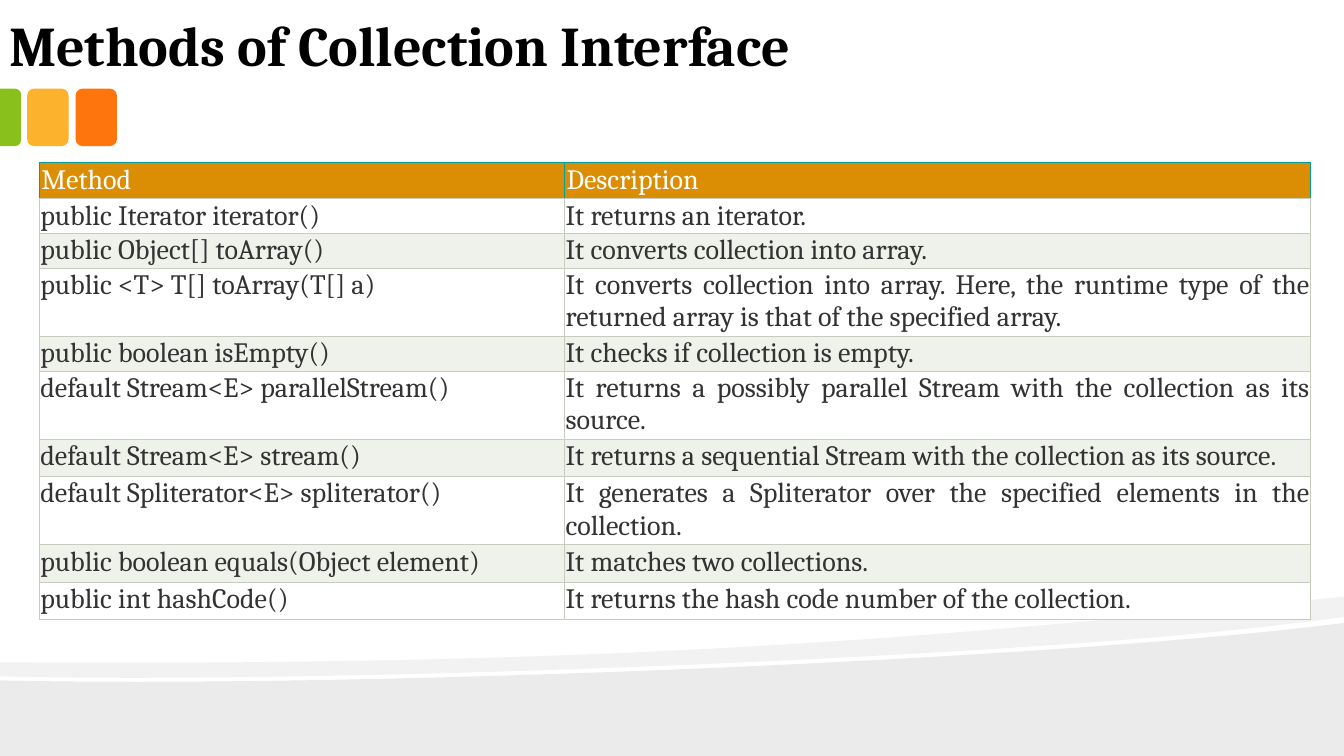
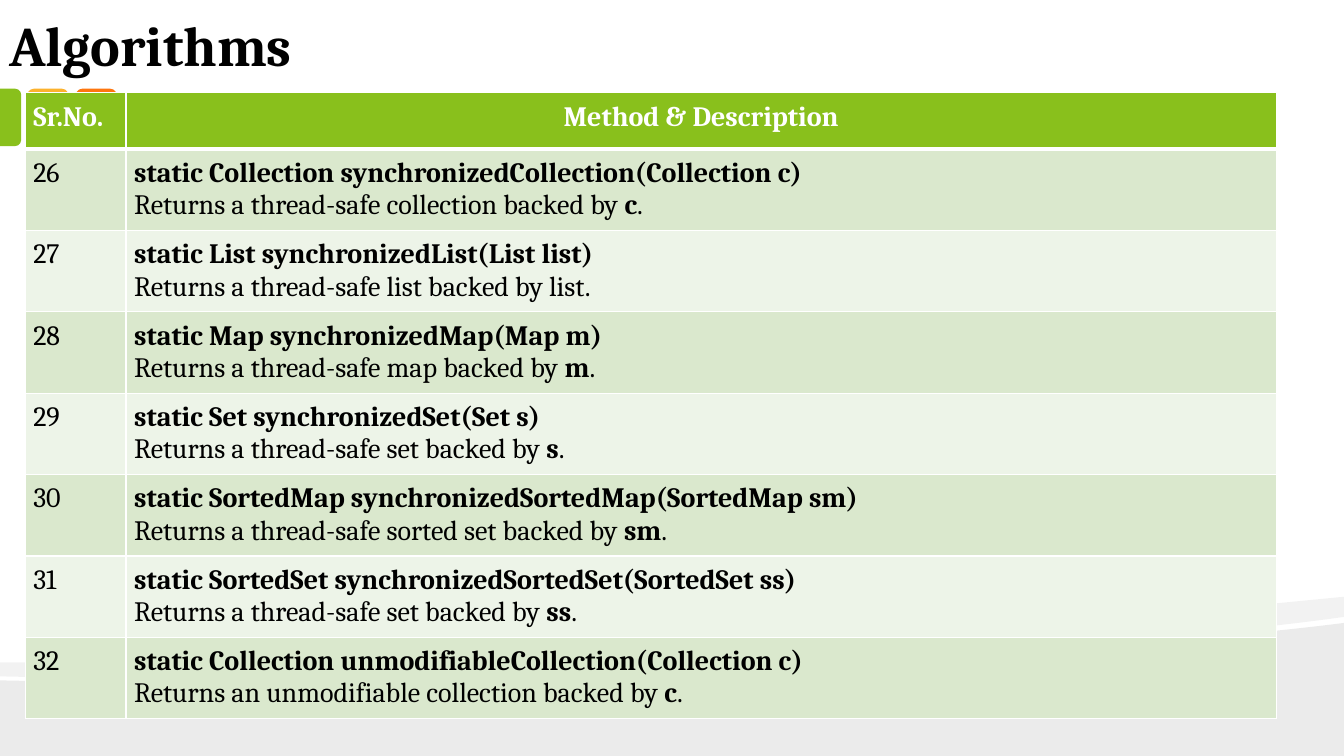
from dataclasses import dataclass
from typing import NamedTuple

from lxml.etree import SubElement
from pptx import Presentation
from pptx.dml.color import RGBColor
from pptx.enum.shapes import MSO_SHAPE
from pptx.enum.text import MSO_ANCHOR, PP_ALIGN
from pptx.oxml.ns import qn
from pptx.util import Emu, Pt

PX = 9144  # EMU in one px, 100 px to the inch
SLIDE_W, SLIDE_H = 1333, 750

Point = tuple[int, int]
Cell = tuple[str, ...]  # lines; *stars* mark bold


@dataclass(frozen=True)
class Theme:
    font: str = "Cambria"
    title_size: int = 40
    body_size: int = 20
    black: str = "000000"
    white: str = "FFFFFF"
    text: str = "333333"
    green: str = "89C01C"
    yellow: str = "FCB22C"
    orange: str = "FE750E"
    amber: str = "DB8E03"
    teal: str = "009F99"
    rule: str = "C7CCBE"
    pale_grey: str = "EFF1EB"
    mid_green: str = "DAE8CD"
    pale_green: str = "EDF4E8"


THEME = Theme()


class Box(NamedTuple):
    x: int
    y: int
    w: int
    h: int


class Inset(NamedTuple):
    side: int
    top: int
    bottom: int


class Edge(NamedTuple):
    color: str
    width: float


class Block(NamedTuple):
    kind: MSO_SHAPE
    box: Box
    color: str
    rotation: int
    adjustments: tuple[float, ...]


class Wave(NamedTuple):
    """An outline; a step of one point is a line, of three points a cubic curve."""
    start: Point
    steps: tuple[tuple[Point, ...], ...]
    opacity: int


@dataclass(frozen=True)
class TableStyle:
    header_fill: str
    bands: tuple[str, str]
    text: str
    header_inset: Inset
    inset: Inset
    edge: Edge
    header_edge: Edge
    header_bottom: Edge
    header_aligns: tuple[PP_ALIGN, PP_ALIGN]
    aligns: tuple[PP_ALIGN, PP_ALIGN]


WAVES = (
    Wave((1333, 618), (((1333, 750),), ((0, 750),), ((0, 675),),
                       ((352, 683), (1042, 655), (1333, 618))), 8),
    Wave((1333, 592), (((1333, 612),),
                       ((1255, 623), (1149, 633), (1029, 641)),
                       ((698, 663), (258, 677), (0, 671)),
                       ((0, 657),),
                       ((652, 662), (971, 627), (1333, 592))), 5),
)
BLOCKS = (
    Block(MSO_SHAPE.ROUNDED_RECTANGLE, Box(75, 88, 41, 57), THEME.orange, 0, ()),
    Block(MSO_SHAPE.ROUNDED_RECTANGLE, Box(27, 88, 41, 57), THEME.yellow, 0, ()),
    Block(MSO_SHAPE.ROUND_2_SAME_RECTANGLE, Box(-18, 106, 57, 21), THEME.green, 90, (0.29, 0)),
)

INTERFACE_STYLE = TableStyle(
    THEME.amber, (THEME.white, THEME.pale_grey), THEME.text, Inset(2, 2, 1), Inset(1, 1, 0),
    Edge(THEME.rule, 0.75), Edge(THEME.teal, 0.75), Edge(THEME.rule, 0.75),
    (PP_ALIGN.LEFT, PP_ALIGN.LEFT), (PP_ALIGN.JUSTIFY, PP_ALIGN.JUSTIFY))
ALGORITHM_STYLE = TableStyle(
    THEME.green, (THEME.mid_green, THEME.pale_green), THEME.black,
    Inset(8, 8, 8), Inset(8, 8, 6),
    Edge(THEME.white, 1), Edge(THEME.white, 1), Edge(THEME.white, 3),
    (PP_ALIGN.LEFT, PP_ALIGN.CENTER), (PP_ALIGN.LEFT, PP_ALIGN.JUSTIFY))

INTERFACE_METHODS = (
    ("Method", "Description"),
    ("public Iterator iterator()", "It returns an iterator."),
    ("public Object[] toArray()", "It converts collection into array."),
    ("public <T> T[] toArray(T[] a)",
     "It converts collection into array. Here, the runtime type of the returned array "
     "is that of the specified array."),
    ("public boolean isEmpty()", "It checks if collection is empty."),
    ("default Stream<E> parallelStream()",
     "It returns a possibly parallel Stream with the collection as its source."),
    ("default Stream<E> stream()",
     "It returns a sequential Stream with the collection as its source."),
    ("default Spliterator<E> spliterator()",
     "It generates a Spliterator over the specified elements in the collection."),
    ("public boolean equals(Object element)", "It matches two collections."),
    ("public int hashCode()", "It returns the hash code number of the collection."),
)
INTERFACE_HEIGHTS = (30, 28, 28, 54, 28, 37, 37, 53, 37, 37)

FIRST_ALGORITHM = 26
ALGORITHMS = (
    ("static Collection synchronizedCollection(Collection c)",
     "Returns a thread-safe collection backed by *c*."),
    ("static List synchronizedList(List list)",
     "Returns a thread-safe list backed by list."),
    ("static Map synchronizedMap(Map m)",
     "Returns a thread-safe map backed by *m*."),
    ("static Set synchronizedSet(Set s)",
     "Returns a thread-safe set backed by *s*."),
    ("static SortedMap synchronizedSortedMap(SortedMap sm)",
     "Returns a thread-safe sorted set backed by *sm*."),
    ("static SortedSet synchronizedSortedSet(SortedSet ss)",
     "Returns a thread-safe set backed by *ss*."),
    ("static Collection unmodifiableCollection(Collection c)",
     "Returns an unmodifiable collection backed by *c*."),
)


def px(n: int) -> Emu:
    return Emu(n * PX)


def set_attrs(obj, values: dict) -> None:
    for name, value in values.items():
        setattr(obj, name, value)


def margins(inset: Inset) -> dict:
    return {"margin_left": px(inset.side), "margin_right": px(inset.side),
            "margin_top": px(inset.top), "margin_bottom": px(inset.bottom)}


def paint(sp, color: str) -> None:
    sp.shadow.inherit = False
    sp.fill.solid()
    sp.fill.fore_color.rgb = RGBColor.from_string(color)
    sp.line.fill.background()


def write_line(p, line: str, size: int, color: str) -> None:
    """Fill a paragraph; text between stars is bold."""
    for i, part in enumerate(line.split("*")):
        if part:
            r = p.add_run()
            r.text = part
            set_attrs(r.font, {"name": THEME.font, "size": Pt(size), "bold": i % 2 == 1})
            r.font.color.rgb = RGBColor.from_string(color)


def add_wave(s, wave: Wave) -> None:
    """Draw the outline through all points, then join each curve's three lines into one."""
    builder = s.shapes.build_freeform(*wave.start, scale=PX)
    builder.add_line_segments([point for step in wave.steps for point in step], close=True)
    sp = builder.convert_to_shape()
    paint(sp, THEME.black)
    color = sp._element.spPr.find(qn("a:solidFill"))[0]
    SubElement(color, qn("a:alpha"), val=str(wave.opacity * 1000))

    lines = iter(list(sp._element.iter(qn("a:lnTo"))))
    for step in wave.steps:
        parts = [next(lines) for _ in step]
        if len(parts) == 3:
            outline = parts[0].getparent()
            curve = SubElement(outline, qn("a:cubicBezTo"))
            outline.insert(outline.index(parts[0]), curve)
            for part in parts:
                curve.append(part[0])
                outline.remove(part)


def add_block(s, block: Block) -> None:
    sp = s.shapes.add_shape(block.kind, *map(px, block.box))
    sp.rotation = block.rotation
    for i, value in enumerate(block.adjustments):
        sp.adjustments[i] = value
    paint(sp, block.color)


def add_title(s, title: str) -> None:
    tf = s.shapes.add_textbox(*map(px, Box(-4, 0, 1037, 84))).text_frame
    set_attrs(tf, {"word_wrap": True, "vertical_anchor": MSO_ANCHOR.BOTTOM,
                   **margins(Inset(13, 7, 7))})
    write_line(tf.paragraphs[0], f"*{title}*", THEME.title_size, THEME.black)


def add_base_slide(prs, title: str):
    """Add a slide with the shared waves, blocks and title."""
    s = prs.slides.add_slide(prs.slide_layouts[6])
    for wave in WAVES:
        add_wave(s, wave)
    for block in BLOCKS:
        add_block(s, block)
    add_title(s, title)
    return s


def set_borders(cell, edges: dict[str, Edge]) -> None:
    tc_pr = cell._tc.get_or_add_tcPr()
    for i, (side, edge) in enumerate(edges.items()):
        ln = SubElement(tc_pr, qn(f"a:ln{side}"), w=str(Pt(edge.width)))
        SubElement(SubElement(ln, qn("a:solidFill")), qn("a:srgbClr"), val=edge.color)
        tc_pr.insert(i, ln)


def fill_cell(cell, lines: Cell, row: int, col: int, style: TableStyle) -> None:
    header = row == 0
    set_attrs(cell, margins(style.header_inset if header else style.inset))
    cell.fill.solid()
    fill = style.header_fill if header else style.bands[(row - 1) % 2]
    cell.fill.fore_color.rgb = RGBColor.from_string(fill)
    side = style.header_edge if header else style.edge
    set_borders(cell, {"L": side, "R": side,
                       "T": style.header_bottom if row == 1 else side,
                       "B": style.header_bottom if header else side})
    tf = cell.text_frame
    for i, line in enumerate(lines):
        p = tf.add_paragraph() if i else tf.paragraphs[0]
        p.alignment = (style.header_aligns if header else style.aligns)[col]
        write_line(p, line, THEME.body_size, THEME.white if header else style.text)


def add_method_table(s, x: int, y: int, widths: tuple[int, ...], heights: tuple[int, ...],
                     rows: list[tuple[Cell, ...]], style: TableStyle) -> None:
    box = Box(x, y, sum(widths), sum(heights))
    table = s.shapes.add_table(len(rows), len(widths), *map(px, box)).table
    table.horz_banding = False
    for column, width in zip(table.columns, widths):
        column.width = px(width)
    for i, (row, height) in enumerate(zip(rows, heights)):
        table.rows[i].height = px(height)
        for j, lines in enumerate(row):
            fill_cell(table.cell(i, j), lines, i, j, style)


def main() -> None:
    prs = Presentation()
    set_attrs(prs, {"slide_width": px(SLIDE_W), "slide_height": px(SLIDE_H)})

    s = add_base_slide(prs, "Methods of Collection Interface")
    rows = [((method,), (description,)) for method, description in INTERFACE_METHODS]
    add_method_table(s, 39, 161, (521, 740), INTERFACE_HEIGHTS, rows, INTERFACE_STYLE)

    s = add_base_slide(prs, "Algorithms")
    rows = [(("*Sr.No.*",), ("*Method & Description*",))]
    rows += [((str(number),), (f"*{signature}*", description))
             for number, (signature, description) in enumerate(ALGORITHMS, FIRST_ALGORITHM)]
    add_method_table(s, 25, 92, (100, 1141), (56,) * len(rows), rows, ALGORITHM_STYLE)

    prs.save("out.pptx")


if __name__ == "__main__":
    main()
